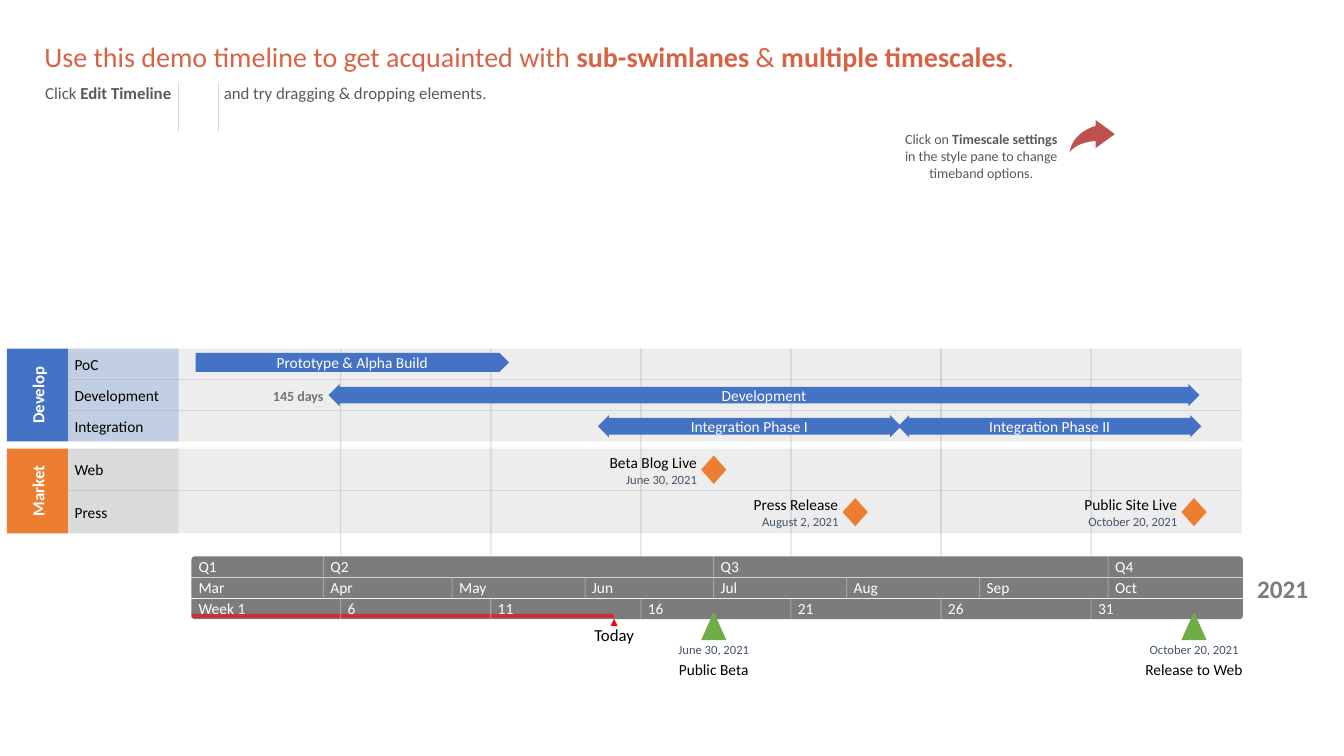
"""Build the swimlane timeline slide."""
from dataclasses import dataclass

from lxml.etree import SubElement
from pptx import Presentation
from pptx.dml.color import RGBColor
from pptx.enum.shapes import MSO_CONNECTOR, MSO_SHAPE
from pptx.enum.text import MSO_ANCHOR, MSO_AUTO_SIZE, PP_ALIGN
from pptx.oxml.ns import qn
from pptx.util import Pt

Box = tuple[float, float, float, float]
Spot = tuple[float, float]
Parts = list[tuple[str, bool]]
LEFT, MID, RIGHT = PP_ALIGN.LEFT, PP_ALIGN.CENTER, PP_ALIGN.RIGHT
WHITE, BLACK, BLUE, ORANGE = "FFFFFF", "000000", "4472C4", "ED7D31"
GRAY, SLATE, TEXT, GREEN = "7C7C7C", "44546A", "595959", "70AD47"
DAY = 21.44 / 7
APRIL = 231.1
AXIS, SPAN = 136.8, 751
LANE, WIDE = 48.5, 838.6
BAND, STEP = 397.4, 15.15


@dataclass
class Group:
    name: str
    fill: str
    tint: str
    top: float
    size: float
    lanes: list[str]

    @property
    def tall(self) -> float:
        """Give the full height of the group."""
        return self.size * len(self.lanes)


@dataclass
class Task:
    name: str
    kind: MSO_SHAPE
    box: Box
    wide: float


@dataclass
class Event:
    name: str
    date: str
    day: int
    top: float
    wide: float
    span: float


@dataclass
class Scale:
    form: MSO_SHAPE
    bend: list[float]
    first: str
    ticks: dict[str, int]


GROUPS = [
    Group("Develop", BLUE, BLUE, 249.1, 22.05, ["PoC", "Development", "Integration"]),
    Group("Market", ORANGE, "A6A6A6", 320.4, 30.3, ["Web", "Press"]),
]
ARROW = MSO_SHAPE.LEFT_RIGHT_ARROW
TASKS = [
    Task("Prototype & Alpha Build", MSO_SHAPE.PENTAGON, (139.7, 252, 223.9, 13.7), 116),
    Task("Development", ARROW, (234.7, 274.3, 622.1, 15.8), 68),
    Task("Integration Phase I", ARROW, (427, 296.6, 216.7, 15.8), 92),
    Task("Integration Phase II", ARROW, (641.5, 296.6, 216.7, 15.8), 94),
]
GATES = [
    Event("Beta Blog Live", "June 30, 2021", 91, 325.4, 68, 55),
    Event("Press Release", "August 2, 2021", 124, 355.7, 66, 59),
    Event("Public Site Live", "October 20, 2021", 203, 355.7, 72, 68),
]
FLAGS = [
    Event("Public Beta", "June 30, 2021", 91, 437, 58, 55),
    Event("Release to Web", "October 20, 2021", 203, 437, 76, 68),
]
WEEKS = {str(6 + 5 * i): 4 + 35 * i for i in range(6)}
MONTHS = {"Apr": 0, "May": 30, "Jun": 61, "Jul": 91, "Aug": 122, "Sep": 153, "Oct": 183}
CAP = MSO_SHAPE.ROUND_2_SAME_RECTANGLE
SCALES = [
    Scale(CAP, [], "Q1", {"Q2": 0, "Q3": 91, "Q4": 183}),
    Scale(MSO_SHAPE.RECTANGLE, [], "Mar", MONTHS),
    Scale(CAP, [0, 0.167], "Week 1", WEEKS),
]

deck = Presentation()
deck.slide_width, deck.slide_height = Pt(960), Pt(540)
slide = deck.slides.add_slide(deck.slide_layouts[5])
shapes = slide.shapes


def spot(day: float) -> float:
    """Give the place of a day counted from the first of April."""
    return APRIL + DAY * day


def paint(fill, tone: str, alpha: int = 100) -> None:
    """Set a solid colour with a share of opacity."""
    fill.solid()
    fill.fore_color.rgb = RGBColor.from_string(tone)
    if alpha < 100:
        for node in fill._xPr.iter(qn("a:srgbClr")):
            SubElement(node, qn("a:alpha"), val=str(alpha * 1000))


def block(kind: MSO_SHAPE, box: Box, tone: str, alpha: int = 100, bend: list[float] = ()) -> None:
    """Draw a filled preset shape."""
    shape = shapes.add_shape(kind, *map(Pt, box))
    shape.shadow.inherit = False
    paint(shape.fill, tone, alpha)
    shape.line.fill.background()
    for i, value in enumerate(bend):
        shape.adjustments[i] = value


def rule(start: Spot, end: Spot, tone: str, width: float = 0.75, alpha: int = 100) -> None:
    """Draw a straight line."""
    line = shapes.add_connector(MSO_CONNECTOR.STRAIGHT, *map(Pt, start + end))
    line.line.width = Pt(width)
    paint(line.line.fill, tone, alpha)
    SubElement(line._element.spPr, qn("a:effectLst"))


def style(shape, parts: Parts, size: float, tone: str, align: PP_ALIGN) -> None:
    """Write the parts into one paragraph and format its runs."""
    para = shape.text_frame.paragraphs[0]
    para.alignment = align
    para.text = parts[0][0]
    for words, _ in parts[1:]:
        para.add_run().text = words
    for run, (_, bold) in zip(para.runs, parts):
        font = run.font
        font.name, font.size, font.bold = "Calibri", Pt(size), bold
        font.color.rgb = RGBColor.from_string(tone)


def label(words: str, box: Box, size: float, tone: str, align: PP_ALIGN = LEFT,
          bold: bool = False, turn: int = 0) -> None:
    """Add one line of text without margins."""
    shape = shapes.add_textbox(*map(Pt, box))
    shape.rotation = turn
    frame = shape.text_frame
    frame.margin_left = frame.margin_right = frame.margin_top = frame.margin_bottom = 0
    frame.vertical_anchor = MSO_ANCHOR.MIDDLE
    frame.word_wrap = False
    style(shape, [(words, bold)], size, tone, align)


def note(parts: Parts, box: Box, size: float, align: PP_ALIGN):
    """Add a wrapping text box with mixed weights."""
    shape = shapes.add_textbox(*map(Pt, box))
    shape.text_frame.word_wrap = True
    style(shape, parts, size, TEXT, align)
    return shape


def curve(a: Spot, b: Spot, c: Spot, d: Spot) -> list[Spot]:
    """Sample a cubic curve after its first point."""
    steps = [i / 16 for i in range(1, 17)]
    return [tuple((1 - t) ** 3 * p + 3 * t * (1 - t) ** 2 * q + 3 * t * t * (1 - t) * r + t ** 3 * s
                  for p, q, r, s in zip(a, b, c, d)) for t in steps]


def swoosh() -> None:
    """Draw the bent arrow beside the hint."""
    neck, tail, base = (782.6, 90), (763.9, 108.7), (782.6, 100.8)
    dots = [(796.3, 95.8), (782.6, 85.7), neck]
    dots += curve(neck, neck, (766.8, 93.6), tail) + curve(tail, (770.4, 100.8), base, base)
    pen = shapes.build_freeform(Pt(782.6), Pt(105.8))
    pen.add_line_segments([(Pt(x), Pt(y)) for x, y in dots], close=True)
    shape = pen.convert_to_shape()
    shape.shadow.inherit = False
    paint(shape.fill, "C0504D")
    shape.line.fill.background()


def lanes() -> None:
    """Draw the swimlanes, their heads and the grid."""
    rows = [(g, name, g.top + i * g.size) for g in GROUPS for i, name in enumerate(g.lanes)]
    for g, _, top in rows:
        block(MSO_SHAPE.RECTANGLE, (LANE, top, WIDE, g.size), "A5A5A5", 20)
    for g, _, top in rows:
        if top > g.top:
            rule((LANE, top), (LANE + WIDE, top), "D7D7D7")
    for g in GROUPS:
        block(MSO_SHAPE.RECTANGLE, (5, g.top, 43.5, g.tall), g.fill)
        box = (27 - g.tall / 2, g.top + g.tall / 2 - 7.2, g.tall, 14.4)
        label(g.name, box, 12, WHITE, MID, True, 270)
    for g, name, top in rows:
        block(MSO_SHAPE.RECTANGLE, (LANE, top, 79.2, g.size), g.tint, 25)
        label(name, (53.3, top + g.size / 2 - 6.7, 69.1, 13.4), 11, BLACK)
    for day in WEEKS.values():
        rule((spot(day), GROUPS[0].top), (spot(day), BAND), SLATE, 1.13, 15)


def scales() -> None:
    """Draw the three time bands and the mark for today."""
    for i, band in enumerate(SCALES):
        block(band.form, (AXIS, BAND + i * STEP, SPAN, 14.6), GRAY, bend=band.bend)
    block(MSO_SHAPE.RECTANGLE, (AXIS, 438.5, 301.7, 2.9), "EA161E", 75)
    for i, band in enumerate(SCALES):
        top = BAND + i * STEP
        label(band.first, (AXIS + 5, top, 40, 13.7), 11, WHITE)
        for name, day in band.ticks.items():
            x = spot(day)
            rule((x, top), (x, top + 14.4), WHITE, alpha=30)
            label(name, (x + 5, top, 28, 13.7), 11, WHITE)
    label("2021", (892.2, 409, 48, 22.3), 18, GRAY, MID, True)
    block(MSO_SHAPE.ISOSCELES_TRIANGLE, (436.2, 442.1, 5, 5), "FF0000")
    label("Today", (420.7, 446.4, 36, 14.4), 12, BLACK, MID)


def plan() -> None:
    """Draw the tasks, gates and flags."""
    for task in TASKS:
        x, y, w, h = task.box
        block(task.kind, task.box, BLUE, bend=[0.75, 0.5] if task.kind == ARROW else [])
        label(task.name, (x + (w - task.wide) / 2, y + h / 2 - 6.7, task.wide, 13.4), 11, WHITE, MID)
    label("145 days", (189.1, 276.5, 42, 12.2), 10, "737373", RIGHT, True)
    for e in GATES:
        x = spot(e.day)
        block(MSO_SHAPE.DIAMOND, (x - 9, e.top, 18, 20.2), ORANGE)
        label(e.name, (x - 12 - e.wide, e.top - 2.2, e.wide, 13.7), 11, BLACK, RIGHT)
        label(e.date, (x - 12 - e.span, e.top + 11.5, e.span, 10.8), 9, SLATE, RIGHT)
    for e in FLAGS:
        x = spot(e.day)
        block(MSO_SHAPE.ISOSCELES_TRIANGLE, (x - 9, e.top, 18, 20.2), GREEN)
        label(e.date, (x - e.span / 2, e.top + 21.6, e.span, 10.8), 9, SLATE, MID)
        label(e.name, (x - e.wide / 2, e.top + 33.9, e.wide, 13.7), 11, BLACK, MID)


def heads() -> None:
    """Write the title, the lead line and the hint."""
    title = shapes.title
    title.left, title.top, title.width, title.height = map(Pt, (24.5, 23.4, 709.2, 32.4))
    title.text_frame.vertical_anchor = MSO_ANCHOR.BOTTOM
    title.text_frame.auto_size = MSO_AUTO_SIZE.NONE
    style(title, [("Use this demo timeline to get acquainted with ", False), ("sub-swimlanes", True),
                  (" & ", False), ("multiple timescales", True), (".", False)], 20, "D86344", LEFT)
    lead = note([("Click ", False), ("Edit Timeline", True),
                 ("\tand try dragging & dropping elements.", False)], (25.2, 55.4, 337.7, 21.6), 12, LEFT)
    tabs = SubElement(lead.text_frame.paragraphs[0]._p.get_or_add_pPr(), qn("a:tabLst"))
    SubElement(tabs, qn("a:tab"), pos=str(Pt(127.6)), algn="l")
    note([("Click on ", False), ("Timescale settings ", True),
          ("in the style pane to change timeband options.", False)], (635, 90, 131.8, 43.9), 10, MID)
    swoosh()
    for x in (127.6, 156.2):
        rule((x, 58.5), (x, 93.4), "D9D9D9", 0.5)


if __name__ == "__main__":
    lanes()
    scales()
    plan()
    heads()
    deck.save("out.pptx")
